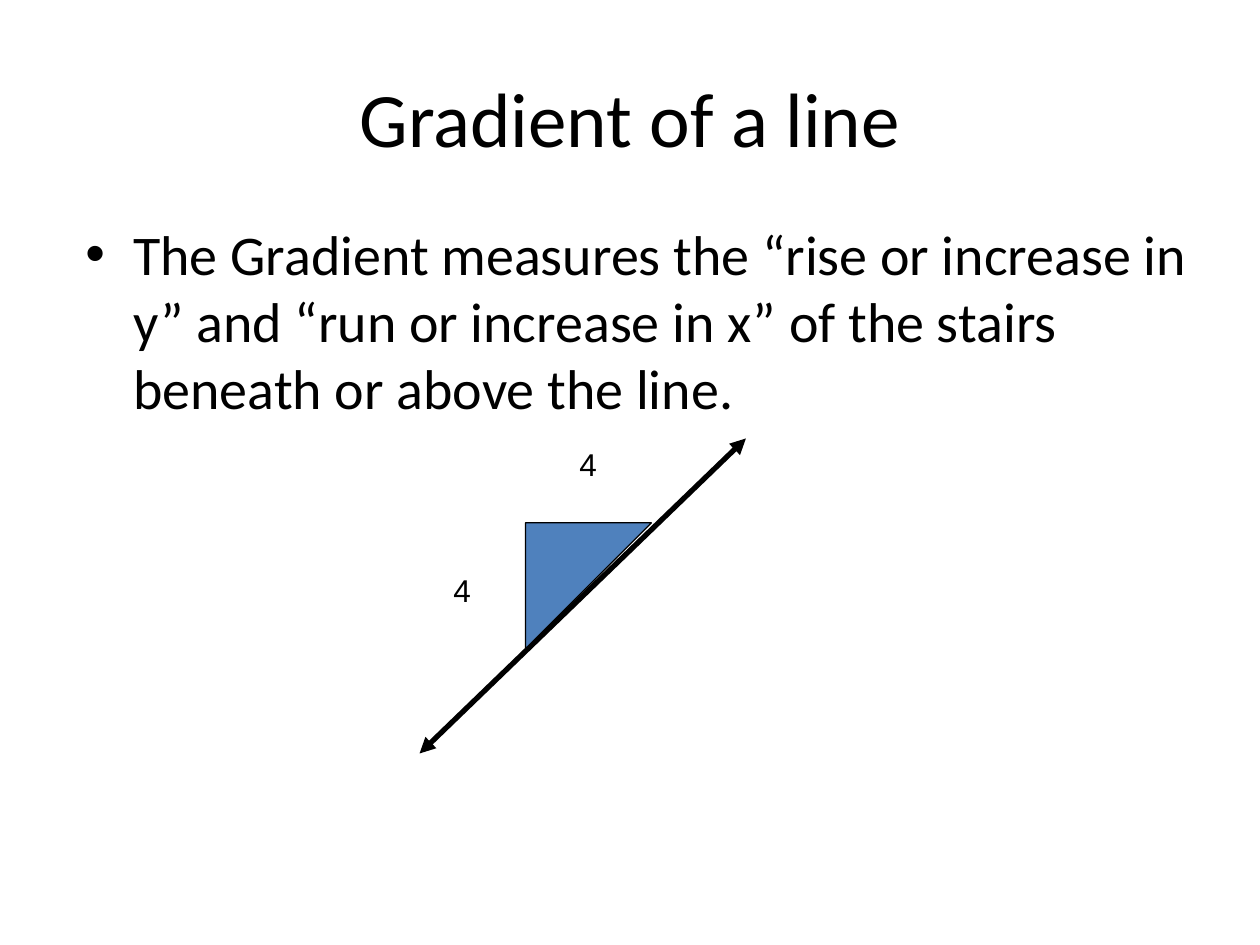
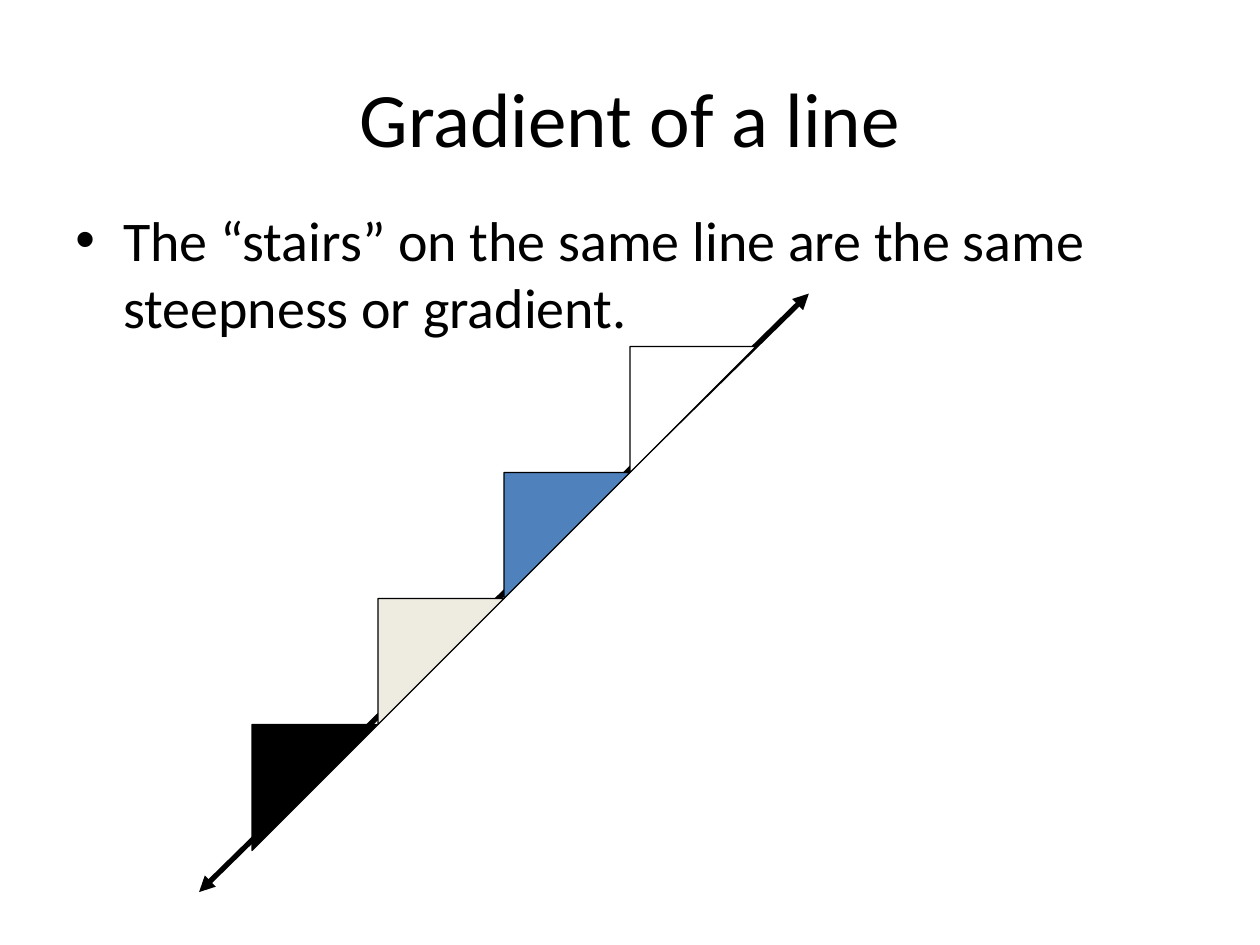
from dataclasses import dataclass

from lxml import etree
from pptx import Presentation
from pptx.dml.color import RGBColor
from pptx.enum import shapes, text
from pptx.oxml import ns
from pptx.util import Inches, Pt


@dataclass(frozen=True)
class Theme:
    """Colours, fonts and sizes shared by the slides."""
    ink: str = "000000"
    paper: str = "FFFFFF"
    blue: str = "4F81BD"
    cream: str = "EEECE1"
    main_font: str = "Calibri"
    label_font: str = "Arial"
    title_size: int = 44
    body_size: int = 32
    label_size: int = 18
    line_width: float = 3
    edge_width: float = 0.75


THEME = Theme()
TITLE = "Gradient of a line"
TITLE_BOX = (0.5, 0.3, 9, 1.25)
BODY_SIZE = (9, 4.92)
STEP = 1


def add_child(parent, tag, **attributes):
    """Append a DrawingML element to a parent element."""
    return etree.SubElement(parent, ns.qn(tag), attributes)


def add_text(slide, box, words, *, size, font=THEME.main_font, color=THEME.ink,
             align=text.PP_ALIGN.LEFT, anchor=text.MSO_ANCHOR.TOP, bullet=None):
    """Write one paragraph in a text box, optionally with a bullet."""
    frame = slide.shapes.add_textbox(*map(Inches, box)).text_frame
    frame.word_wrap = True
    frame.vertical_anchor = anchor
    paragraph = frame.paragraphs[0]
    paragraph.alignment = align
    if bullet:
        properties = paragraph._p.get_or_add_pPr()
        indent = Inches(0.38)
        properties.set("marL", str(indent))
        properties.set("indent", str(-indent))
        add_child(properties, "a:buFont", typeface=THEME.label_font)
        add_child(properties, "a:buChar", char=bullet)
    run = paragraph.add_run()
    run.text = words
    run.font.name = font
    run.font.size = Pt(size)
    run.font.color.rgb = RGBColor.from_string(color)


def add_graph_line(slide, start, end):
    """Draw a straight line with an arrowhead at both ends."""
    graph = slide.shapes.add_connector(
        shapes.MSO_CONNECTOR.STRAIGHT, *map(Inches, (*start, *end)))
    graph.line.color.rgb = RGBColor.from_string(THEME.ink)
    graph.line.width = Pt(THEME.line_width)
    outline = graph.line._get_or_add_ln()
    for tag in ("a:headEnd", "a:tailEnd"):
        add_child(outline, tag, type="triangle")
    add_child(graph._element.spPr, "a:effectLst")


def add_stair(slide, left, top, color):
    """Draw one stair with its right angle at the top left."""
    stair = slide.shapes.add_shape(
        shapes.MSO_SHAPE.RIGHT_TRIANGLE, *map(Inches, (left, top, STEP, STEP)))
    stair.rotation = 90
    stair.shadow.inherit = False
    stair.fill.solid()
    stair.fill.fore_color.rgb = RGBColor.from_string(color)
    stair.line.color.rgb = RGBColor.from_string(THEME.ink)
    stair.line.width = Pt(THEME.edge_width)


def add_staircase(slide, left, bottom, colors):
    """Climb to the right from the lower left corner, one stair per colour."""
    for index, color in enumerate(colors):
        add_stair(slide, left + index * STEP, bottom - (index + 1) * STEP, color)


def add_rise_and_run(slide, left, top, rise, run):
    """Draw a stair and label its rise on the left and its run above."""
    add_stair(slide, left, top, THEME.blue)
    for words, dx, dy in ((rise, -0.67, 0.33), (run, 0.33, -0.67)):
        add_text(slide, (left + dx, top + dy, 0.33, 0.4), words,
                 size=THEME.label_size, font=THEME.label_font)


def add_content_slide(deck, statement, left, top):
    """Add a slide with the common title and one bulleted statement."""
    slide = deck.slides.add_slide(deck.slide_layouts[6])
    add_text(slide, TITLE_BOX, TITLE, size=THEME.title_size,
             align=text.PP_ALIGN.CENTER, anchor=text.MSO_ANCHOR.MIDDLE)
    add_text(slide, (left, top, *BODY_SIZE), statement,
             size=THEME.body_size, bullet="•")
    return slide


def main():
    """Build and save both slides."""
    deck = Presentation()
    deck.slide_width, deck.slide_height = Inches(10), Inches(7.5)

    measure = add_content_slide(
        deck, "The Gradient measures the “rise or increase in y” and “run or "
        "increase in x” of the stairs beneath or above the line.", 0.58, 1.69)
    add_graph_line(measure, (3.33, 5.98), (5.92, 3.48))
    add_rise_and_run(measure, 4.17, 4.15, rise="4", run="4")

    steepness = add_content_slide(
        deck, "The “stairs” on the same line are the same steepness or gradient.",
        0.5, 1.58)
    add_graph_line(steepness, (1.58, 7.08), (6.42, 2.33))
    add_staircase(steepness, 2, 6.75,
                  (THEME.ink, THEME.cream, THEME.blue, THEME.paper))

    deck.save("out.pptx")


if __name__ == "__main__":
    main()
